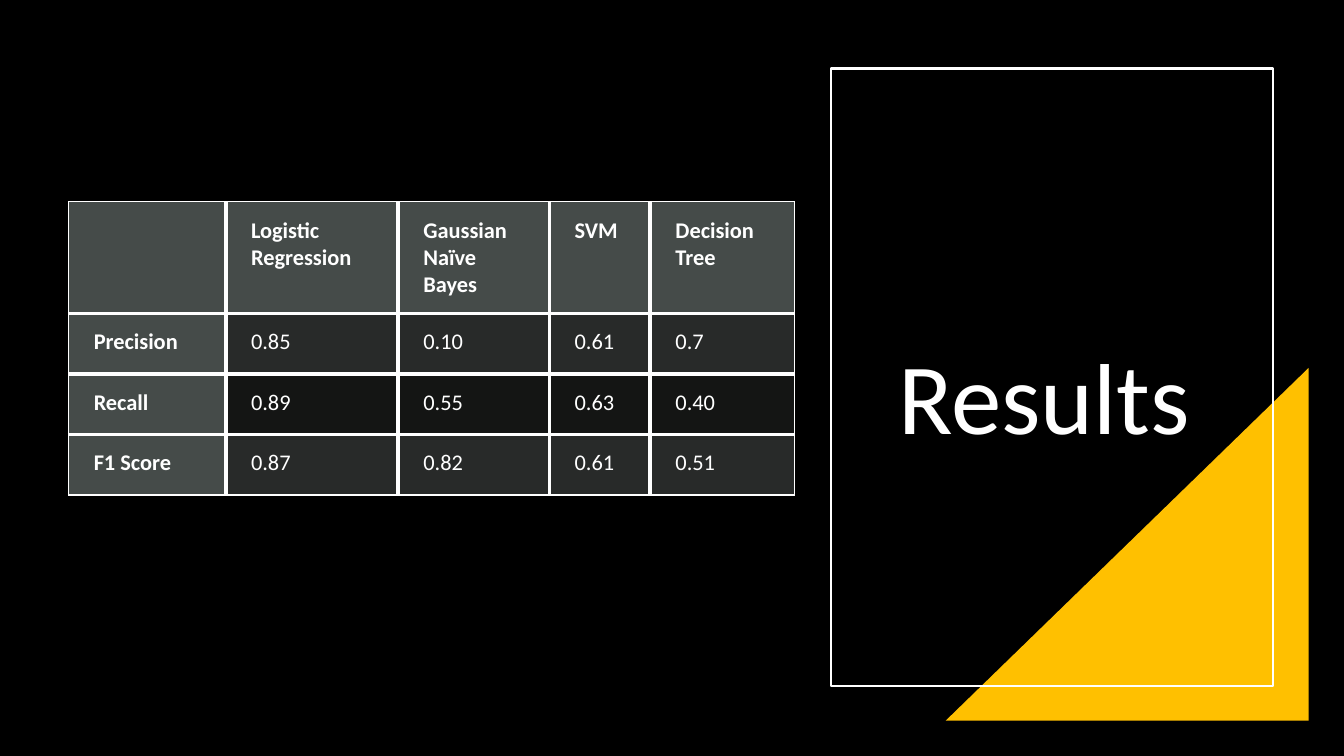
from lxml import etree
from pptx import Presentation
from pptx import util as u
from pptx.dml.color import RGBColor
from pptx.enum import shapes, text
from pptx.oxml.ns import qn

BLACK = RGBColor(0x00, 0x00, 0x00)
WHITE = RGBColor(0xFF, 0xFF, 0xFF)
AMBER = RGBColor(0xFF, 0xC0, 0x00)
HEADER_GREY = RGBColor(0x63, 0x6B, 0x68)
BODY_GREY = RGBColor(0x87, 0x8E, 0x8B)
FONT = "Calibri"


def style_font(p, size, bold=False):
    p.font.name = FONT
    p.font.size = u.Pt(size)
    p.font.bold = bold
    p.font.color.rgb = WHITE


def add_border(tcPr, side):
    ln = etree.SubElement(tcPr, qn("a:" + side), w=str(u.Pt(3)))
    fill = etree.SubElement(ln, qn("a:solidFill"))
    etree.SubElement(fill, qn("a:srgbClr"), val=str(WHITE))


prs = Presentation()
prs.slide_width = u.Inches(13.33)
prs.slide_height = u.Inches(7.5)
s = prs.slides.add_slide(prs.slide_layouts[6])
s.background.fill.solid()
s.background.fill.fore_color.rgb = BLACK

# Corner triangle, right angle at the lower right
triangle = s.shapes.add_shape(shapes.MSO_SHAPE.RIGHT_TRIANGLE, u.Inches(9.38),
                              u.Inches(3.65), u.Inches(3.6), u.Inches(3.5))
triangle.shadow.inherit = False
triangle.fill.solid()
triangle.fill.fore_color.rgb = AMBER
triangle.line.fill.background()
triangle._element.spPr.find(qn("a:xfrm")).set("flipH", "1")

# Title frame
frame = s.shapes.add_shape(shapes.MSO_SHAPE.RECTANGLE, u.Inches(8.24),
                           u.Inches(0.68), u.Inches(4.39), u.Inches(6.13))
frame.shadow.inherit = False
frame.fill.background()
frame.line.color.rgb = WHITE
frame.line.width = u.Pt(1.5)

# Title
title = s.shapes.add_textbox(u.Inches(8.81), u.Inches(1.16),
                             u.Inches(3.5), u.Inches(3.42))
tf = title.text_frame
tf.word_wrap = True
tf.vertical_anchor = text.MSO_ANCHOR.BOTTOM
p = tf.paragraphs[0]
p.text = "Results"
p.line_spacing = 0.9
style_font(p, 72)

# Scores table
scores = [
    ["", "Logistic Regression", "Gaussian Naïve Bayes", "SVM", "Decision Tree"],
    ["Precision", "0.85", "0.10", "0.61", "0.7"],
    ["Recall", "0.89", "0.55", "0.63", "0.40"],
    ["F1 Score", "0.87", "0.82", "0.61", "0.51"],
]
col_widths = [1.56, 1.71, 1.5, 1, 1.43]
row_heights = [1.11, 0.6, 0.6, 0.6]
last_row, last_col = len(row_heights) - 1, len(col_widths) - 1

table = s.shapes.add_table(len(row_heights), len(col_widths), u.Inches(0.68), u.Inches(2),
                           u.Inches(sum(col_widths)), u.Inches(sum(row_heights))).table
for col, width in zip(table.columns, col_widths):
    col.width = u.Inches(width)
for row, height in zip(table.rows, row_heights):
    row.height = u.Inches(height)

for i, values in enumerate(scores):
    for j, value in enumerate(values):
        cell = table.cell(i, j)
        is_header = i == 0 or j == 0
        cell.margin_left = u.Inches(0.25)
        cell.margin_right = cell.margin_top = cell.margin_bottom = u.Inches(0.15)
        p = cell.text_frame.paragraphs[0]
        p.text = value
        style_font(p, 16, is_header)

        # Borders on inner edges only
        tcPr = cell._tc.get_or_add_tcPr()
        inner = {"lnL": j > 0, "lnR": j < last_col, "lnT": i > 0, "lnB": i < last_row}
        for side, shown in inner.items():
            if shown:
                add_border(tcPr, side)

        # Translucent fill, body rows alternating
        cell.fill.solid()
        cell.fill.fore_color.rgb = HEADER_GREY if is_header else BODY_GREY
        opacity = 70 if is_header else 30 if i % 2 else 15
        color = tcPr.find(qn("a:solidFill")).find(qn("a:srgbClr"))
        etree.SubElement(color, qn("a:alpha"), val=str(opacity * 1000))

prs.save("out.pptx")
